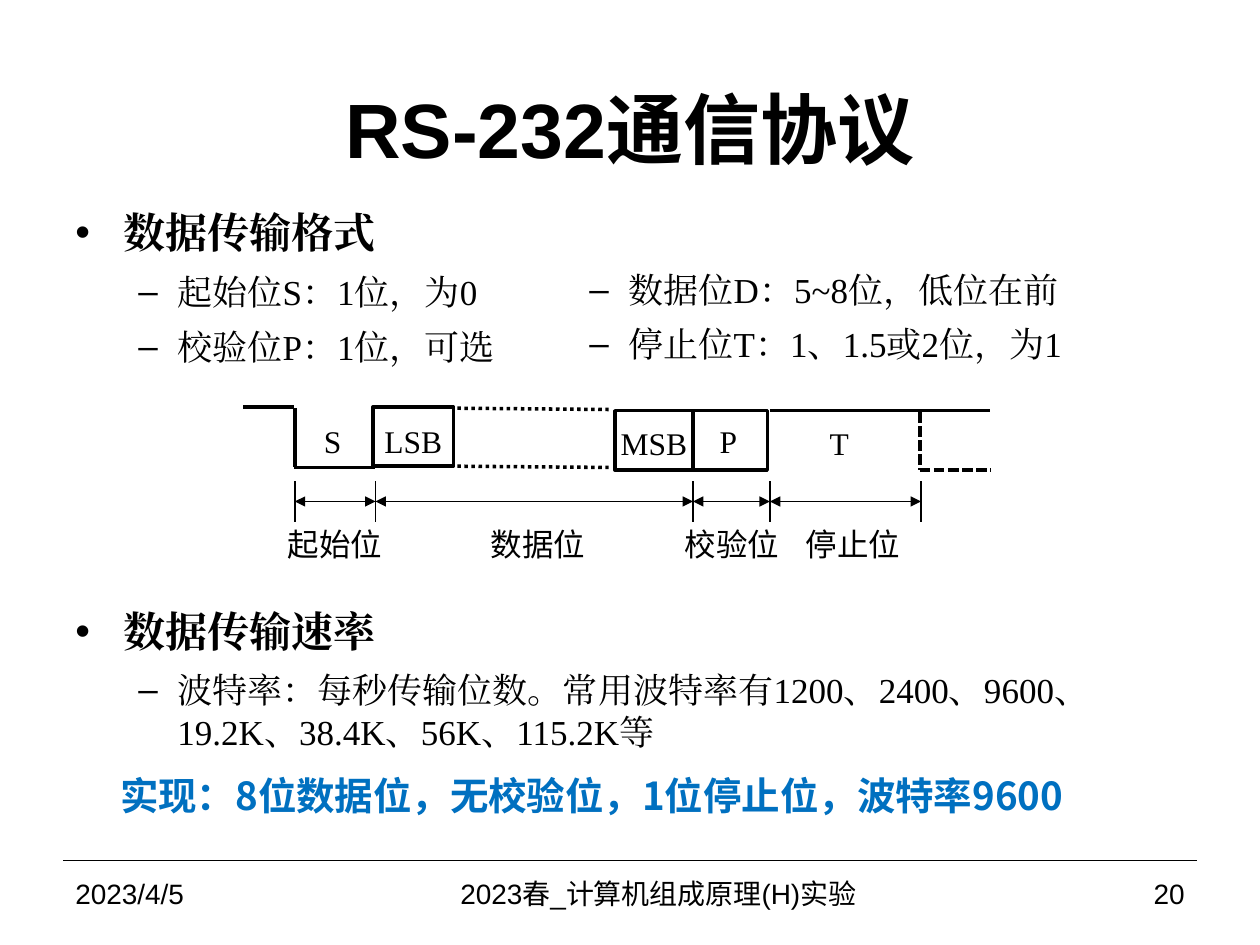
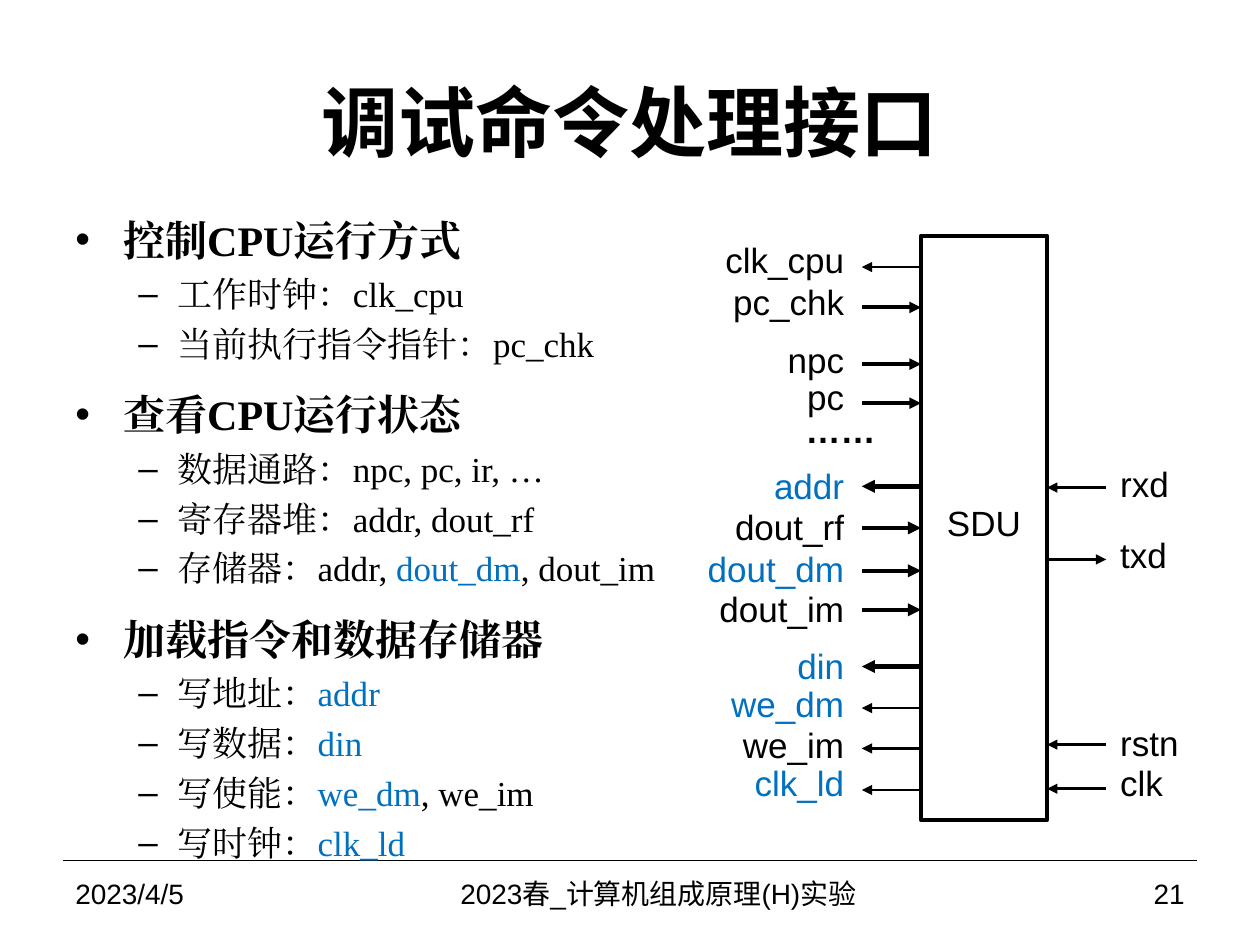
from dataclasses import dataclass

from lxml.etree import SubElement
from pptx import Presentation
from pptx.dml.color import RGBColor as Rgb
from pptx.enum.dml import MSO_LINE_DASH_STYLE as Dash
from pptx.enum.lang import MSO_LANGUAGE_ID as Lang
from pptx.enum.shapes import MSO_CONNECTOR as Link, MSO_SHAPE as Shape
from pptx.enum.text import MSO_ANCHOR as Anchor, PP_ALIGN as Align
from pptx.oxml.ns import qn
from pptx.util import Emu, Pt

SCALE = 9144


@dataclass(frozen=True)
class Theme:
    """Colours, fonts and type sizes shared by the slides."""
    ink: Rgb = Rgb(0, 0, 0)
    accent: Rgb = Rgb(0x00, 0x70, 0xC0)
    sans: str = "Arial"
    serif: str = "Times New Roman"
    hei: str = "Noto Sans CJK SC"
    title: int = 44
    heading: int = 24
    emphasis: int = 22
    item: int = 20
    label: int = 18
    footer: int = 16


def px(length):
    """Turn whole px into EMU."""
    return Emu(length * SCALE)


def assign(target, values):
    """Set each named attribute on the target."""
    for name, value in values.items():
        setattr(target, name, value)


class Deck:
    """Holds the theme and the current slide and draws each kind of element."""

    def __init__(self, theme):
        """Start an empty presentation."""
        self.theme = theme
        self.file = Presentation()
        assign(self.file, {"slide_width": px(1000), "slide_height": px(750)})
        self.slide = None

    def page(self, title, title_height, number):
        """Add a slide with its title, rule and footer."""
        self.slide = self.file.slides.add_slide(self.file.slide_layouts[6])
        theme = self.theme
        self.line((50, 683), (950, 683), 0.75)
        self.text((50, 33, 900, title_height), title, theme.title, theme.sans,
                  Align.CENTER, bold=True, anchor=Anchor.MIDDLE, inset=(10, 5))
        footers = [(50, 233, "2023/4/5", Align.LEFT),
                   (281, 483, "2023春_计算机组成原理(H)实验", Align.CENTER),
                   (767, 183, str(number), Align.RIGHT)]
        for left, width, words, align in footers:
            self.text((left, 683, width, 52), words, theme.footer, theme.sans,
                      align, anchor=Anchor.MIDDLE, inset=(10, 5))

    def run(self, paragraph, words, size, face, bold=False, accent=False):
        """Add one run of styled text."""
        run = paragraph.add_run()
        run.text = words
        assign(run.font, {"size": Pt(size), "name": face, "bold": bold,
                          "language_id": Lang.SIMPLIFIED_CHINESE})
        run.font.color.rgb = self.theme.accent if accent else self.theme.ink
        SubElement(run.font._element, qn("a:ea"), typeface=face)

    def frame(self, box, anchor=Anchor.TOP, inset=(0, 5)):
        """Add an empty wrapping text box and return its text frame."""
        frame = self.slide.shapes.add_textbox(*map(px, box)).text_frame
        side, end = map(px, inset)
        assign(frame, {"word_wrap": True, "vertical_anchor": anchor,
                       "margin_left": side, "margin_right": side,
                       "margin_top": end, "margin_bottom": end})
        return frame

    def text(self, box, words, size, face, align=Align.LEFT, bold=False,
             accent=False, anchor=Anchor.TOP, inset=(0, 5)):
        """Add a single line of text."""
        paragraph = self.frame(box, anchor, inset).paragraphs[0]
        paragraph.alignment = align
        self.run(paragraph, words, size, face, bold, accent)

    def outline(self, box, entries, heading_gap, item_gap):
        """Add bullets; '- ' opens an item and '|' toggles the accent colour."""
        frame = self.frame(box, inset=(10, 5))
        for index, entry in enumerate(entries):
            paragraph = frame.paragraphs[0] if index == 0 else frame.add_paragraph()
            item = entry.startswith("- ")
            gap = item_gap if item else heading_gap
            assign(paragraph, {"level": int(item),
                               "space_before": Pt(gap if index else 0)})
            size = self.theme.item if item else self.theme.heading
            margin, hang, mark = (81, 31, "–") if item else (38, 38, "•")
            props = paragraph._p.get_or_add_pPr()
            props.set("marL", str(px(margin)))
            props.set("indent", str(-px(hang)))
            SubElement(props, qn("a:buFont"), typeface=self.theme.sans)
            SubElement(props, qn("a:buChar"), char=mark)
            for part, words in enumerate(entry.removeprefix("- ").split("|")):
                if words:
                    self.run(paragraph, words, size, self.theme.serif,
                             not item, part % 2 == 1)

    def box(self, bounds, weight, words=""):
        """Add an unfilled rectangle with an optional centred name."""
        block = self.slide.shapes.add_shape(Shape.RECTANGLE, *map(px, bounds))
        block.shadow.inherit = False
        block.fill.background()
        block.line.color.rgb = self.theme.ink
        block.line.width = Pt(weight)
        if words:
            block.text_frame.vertical_anchor = Anchor.MIDDLE
            paragraph = block.text_frame.paragraphs[0]
            assign(paragraph, {"alignment": Align.CENTER, "line_spacing": Pt(18)})
            self.run(paragraph, words, self.theme.item, self.theme.sans)
        return block

    def line(self, start, end, weight, dash=None, tips=()):
        """Add a straight line with arrowheads at the named ends."""
        link = self.slide.shapes.add_connector(
            Link.STRAIGHT, *map(px, (*start, *end)))
        link.line.color.rgb = self.theme.ink
        assign(link.line, {"width": Pt(weight), "dash_style": dash})
        for tip in tips:
            SubElement(link.line._get_or_add_ln(), qn(f"a:{tip}"), type="triangle")
        SubElement(link._element.spPr, qn("a:effectLst"))
        return link


def protocol_page(deck):
    """Build the RS-232 frame format slide."""
    theme = deck.theme
    deck.page("RS-232通信协议", 137, 20)
    deck.outline((50, 159, 887, 130),
                 ["数据传输格式", "- 起始位S：1位，为0", "- 校验位P：1位，可选"], 5, 7.5)
    deck.outline((408, 208, 521, 95),
                 ["- 数据位D：5~8位，低位在前", "- 停止位T：1、1.5或2位，为1"], 5, 7)
    deck.outline((50, 476, 887, 130),
                 ["数据传输速率",
                  "- 波特率：每秒传输位数。常用波特率有1200、2400、9600、"
                  "19.2K、38.4K、56K、115.2K等"], 5, 7)

    for cell in [(296, 323, 64, 47), (488, 326, 62, 47), (550, 326, 59, 47)]:
        deck.box(cell, 2)
    wave = [((193, 323), (233, 323), 2, None),
            ((234, 324), (234, 371), 2, None),
            ((233, 371), (298, 371), 2, None),
            ((363, 324), (483, 325), 2, Dash.ROUND_DOT),
            ((363, 370), (483, 371), 2, Dash.ROUND_DOT),
            ((611, 326), (786, 326), 1.5, None),
            ((730, 327), (730, 373), 2, Dash.SQUARE_DOT),
            ((730, 373), (786, 373), 2, Dash.SQUARE_DOT)]
    for segment in wave:
        deck.line(*segment)
    for bit, center, top in [("S", 264, 330), ("LSB", 328, 330), ("MSB", 519, 332),
                             ("P", 578, 330), ("T", 666, 332)]:
        deck.text((center - 44, top, 88, 40), bit, theme.label, theme.serif,
                  Align.CENTER)

    edges = [234, 298, 550, 611, 731]
    for edge in edges:
        deck.line((edge, 414), (edge, 382), 1)
    for left, right in zip(edges, edges[1:]):
        deck.line((left, 398), (right, 398), 0.75, tips=("headEnd", "tailEnd"))
    for field, center in [("起始位", 266), ("数据位", 427), ("校验位", 581), ("停止位", 677)]:
        deck.text((center - 50, 412, 100, 40), field, theme.label, theme.hei,
                  Align.CENTER)
    deck.text((50, 608, 839, 47), "实现：8位数据位，无校验位，1位停止位，波特率9600",
              theme.emphasis, theme.hei, Align.CENTER, bold=True, accent=True)


def interface_page(deck):
    """Build the debug command interface slide."""
    theme = deck.theme
    deck.page("调试命令处理接口", 125, 21)
    deck.outline((50, 165, 496, 518),
                 ["控制CPU运行方式", "- 工作时钟：clk_cpu", "- 当前执行指令指针：pc_chk",
                  "查看CPU运行状态", "- 数据通路：npc, pc, ir, …",
                  "- 寄存器堆：addr, dout_rf", "- 存储器：addr, |dout_dm|, dout_im",
                  "加载指令和数据存储器", "- 写地址：|addr|", "- 写数据：|din|",
                  "- 写使能：|we_dm|, we_im", "- 写时钟：|clk_ld|"], 14, 4.5)

    left, top, width, height = 731, 187, 100, 464
    sdu = deck.box((left, top, width, height), 2.25, "SDU")
    into, out = ("headEnd",), ("tailEnd",)
    cpu_side = [("clk_cpu", 189, 212, out, 1.5, False),
                ("pc_chk", 222, 244, into, 2.25, False),
                ("npc", 268, 289, into, 2.25, False),
                ("pc", 298, 320, into, 2.25, False),
                ("addr", 368, 386, out, 2.5, True),
                ("dout_rf", 401, 419, into, 2.5, False),
                ("dout_dm", 434, 453, into, 2.5, True),
                ("dout_im", 466, 484, into, 2.5, False),
                ("din", 511, 529, out, 2.5, True),
                ("we_dm", 541, 562, out, 1.5, True),
                ("we_im", 574, 594, out, 1.5, False),
                ("clk_ld", 604, 627, out, 1.5, True)]
    for signal, label_top, level, tips, weight, accent in cpu_side:
        deck.text((550, label_top, 120, 34), signal, theme.item, theme.sans,
                  Align.RIGHT, accent=accent, anchor=Anchor.MIDDLE, inset=(0, 0))
        wire = deck.line((left, level), (684, level), weight, tips=tips)
        if level == top + height // 2:
            wire.begin_connect(sdu, 1)
    deck.text((620, 324, 75, 34), "……", theme.item, theme.sans, Align.RIGHT,
              bold=True, anchor=Anchor.MIDDLE, inset=(0, 0))

    serial_side = [("rxd", 367, 387, into), ("txd", 423, 444, out),
                   ("rstn", 572, 591, into), ("clk", 604, 626, into)]
    for signal, label_top, level, tips in serial_side:
        deck.text((889, label_top, 60, 34), signal, theme.item, theme.sans,
                  anchor=Anchor.MIDDLE, inset=(0, 0))
        deck.line((left + width, level), (878, level), 1.5, tips=tips)


def main():
    """Build both slides and save them."""
    deck = Deck(Theme())
    protocol_page(deck)
    interface_page(deck)
    deck.file.save("out.pptx")


if __name__ == "__main__":
    main()
